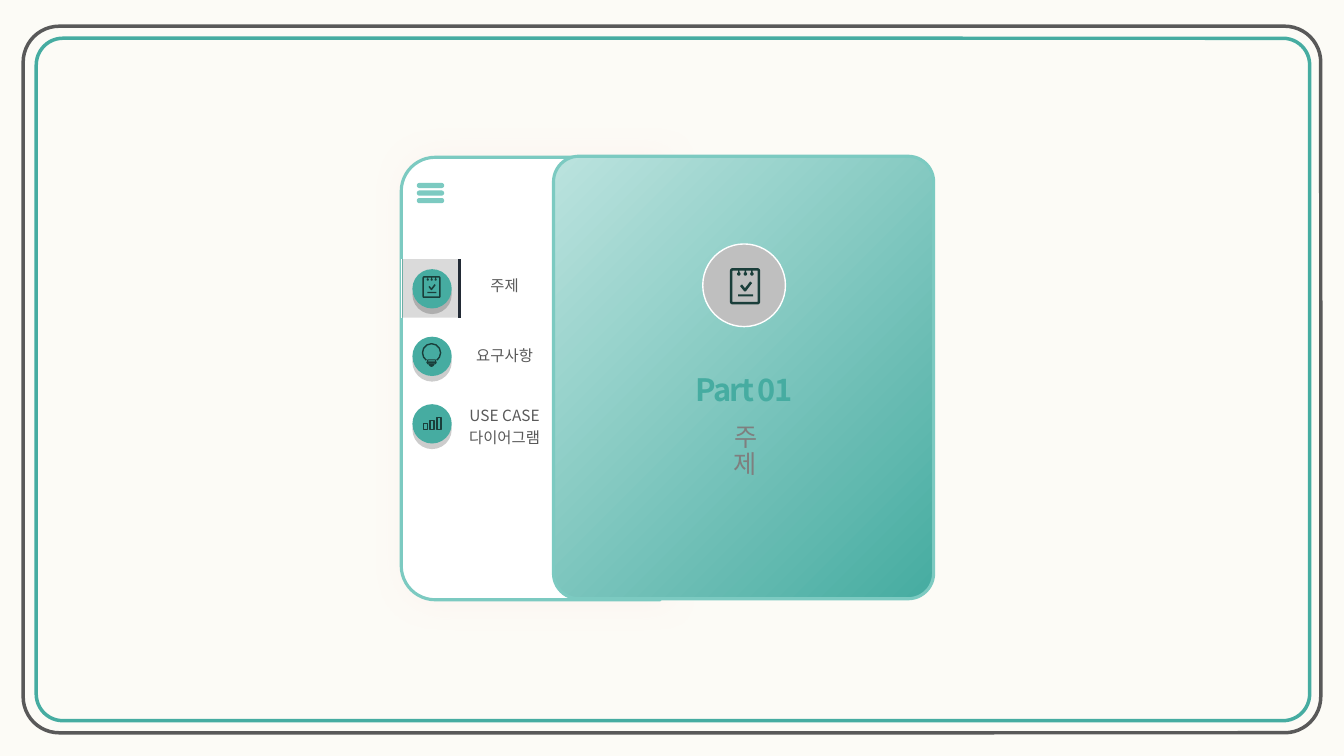
from lxml import etree
from pptx import Presentation
from pptx import util as u
from pptx.dml.color import RGBColor
from pptx.enum import shapes, text
from pptx.oxml import ns

CREAM = RGBColor(0xFC, 0xFB, 0xF6)
WHITE = RGBColor(0xFF, 0xFF, 0xFF)
TEAL = RGBColor(0x46, 0xAC, 0xA1)
SOFT_TEAL = RGBColor(0x7C, 0xCA, 0xC1)
PALE_TEAL = RGBColor(0xBB, 0xE3, 0xDE)
INK = RGBColor(0x1A, 0x3E, 0x3A)
NAVY = RGBColor(0x22, 0x2A, 0x35)
SLATE = RGBColor(0x84, 0x97, 0xB0)
GRAY = RGBColor(0x59, 0x59, 0x59)
MID_GRAY = RGBColor(0x7F, 0x7F, 0x7F)
SILVER = RGBColor(0xBF, 0xBF, 0xBF)
CHARCOAL = RGBColor(0x26, 0x26, 0x26)
PINK = RGBColor(0xFF, 0xCC, 0xCC)
BLACK = RGBColor(0, 0, 0)
FONT = "Noto Sans CJK KR"
PLAIN_TABLE = "{2D5ABB26-0587-4C30-8999-92F81FD0307C}"
KIND = shapes.MSO_SHAPE


def add_child(parent, tag, **attrs):
    """Append a DrawingML element to parent."""
    child = etree.SubElement(parent, ns.qn("a:" + tag))
    for name, value in attrs.items():
        child.set(name, str(value))
    return child


def paint(sp, fill, line, width):
    """Set fill and line, either of which may be None."""
    sp.shadow.inherit = False
    if fill is None:
        sp.fill.background()
    else:
        sp.fill.solid()
        sp.fill.fore_color.rgb = fill
    if line is None:
        sp.line.fill.background()
    else:
        sp.line.color.rgb = line
        sp.line.width = u.Pt(width)


def add_box(slide, kind, x, y, w, h, fill=None, line=None, width=1, adj=()):
    """Add a preset shape measured in inches."""
    sp = slide.shapes.add_shape(kind, *map(u.Inches, (x, y, w, h)))
    for i, value in enumerate(adj):
        sp.adjustments[i] = value
    paint(sp, fill, line, width)
    return sp


def add_shadow(sp, color, alpha, blur, dist, angle):
    """Give a shape an outer shadow; alpha in percent, lengths in points."""
    effects = sp._element.spPr.find(ns.qn("a:effectLst"))
    shadow = add_child(effects, "outerShdw", blurRad=u.Pt(blur), dist=u.Pt(dist),
                       dir=angle * 60000, algn="ctr", rotWithShape=0)
    clr = add_child(shadow, "srgbClr", val=color)
    add_child(clr, "alpha", val=alpha * 1000)


def format_text(p, size, color, bold=False, spacing=None):
    """Centre a paragraph and format its runs."""
    p.alignment = text.PP_ALIGN.CENTER
    for r in p.runs:
        r.font.size, r.font.bold, r.font.name = u.Pt(size), bold, FONT
        r.font.color.rgb = color
        rPr = r._r.get_or_add_rPr()
        add_child(rPr, "ea", typeface=FONT)
        if spacing is not None:
            rPr.set("spc", str(round(spacing * 100)))


def add_plain_table(slide, rows, x, y, w, h):
    """Add a one-column table without style or fill."""
    frame = slide.shapes.add_table(rows, 1, *map(u.Inches, (x, y, w, h)))
    table = frame.table
    table.first_row = table.horz_banding = False
    table._tbl.tblPr.find(ns.qn("a:tableStyleId")).text = PLAIN_TABLE
    for row in table.rows:
        row.height = u.Inches(h / rows)
        row.cells[0].fill.background()
    return table


def draw_notepad(slide, x, y, w):
    """Draw a notepad with three pins, a check mark and a rule."""
    k = w / 0.3
    edge = 0.025 * k

    def part(kind, dx, dy, pw, ph):
        add_box(slide, kind, x + dx * k, y + dy * k, pw * k, ph * k, INK)

    add_box(slide, KIND.ROUNDED_RECTANGLE, x + edge / 2, y + edge / 2,
            w - edge, 1.2 * w - edge, line=INK, width=edge * 72, adj=[0.05])
    for i in range(3):
        dx = 0.07 + i * 0.065
        part(KIND.OVAL, dx, 0.04, 0.035, 0.035)
        part(KIND.ROUNDED_RECTANGLE, dx + 0.01, 0.01, 0.015, 0.05)
    part(KIND.ROUNDED_RECTANGLE, 0.08, 0.26, 0.15, 0.02)
    points = [(u.Inches(x + dx * k), u.Inches(y + dy * k))
              for dx, dy in ((0.11, 0.17), (0.15, 0.22), (0.21, 0.14))]
    pen = slide.shapes.build_freeform(*points[0])
    pen.add_line_segments(points[1:], close=False)
    paint(pen.convert_to_shape(), None, INK, edge * 72)


def draw_bulb(slide, x, y, w):
    """Draw a light bulb whose glass is w wide."""
    add_box(slide, KIND.ARC, x, y, w, w, line=INK, adj=[125 * 0.6, 55 * 0.6])
    mid = x + w / 2
    for width, dy, h in ((0.08, 0.16, 0.04), (0.09, 0.18, 0.01)):
        add_box(slide, KIND.ROUNDED_RECTANGLE, mid - width / 2, y + dy, width, h,
                line=INK, width=0.75)
    add_box(slide, KIND.CHORD, mid - 0.03, y + 0.17, 0.06, 0.06, INK,
            adj=[0, 180 * 0.6])


def draw_bars(slide, x, y, w):
    """Draw three hollow bars of rising height."""
    pitch = w / 3
    for i, h in enumerate((0.06, 0.09, 0.12)):
        add_box(slide, KIND.RECTANGLE, x + i * pitch, y + 0.12 - h, 0.04, h,
                line=INK, width=1)


def draw_frame(slide):
    """Draw the double border around the slide."""
    for x, y, w, h, color, adj in ((0.23, 0.26, 12.87, 7.01, GRAY, 0.051),
                                   (0.36, 0.38, 12.63, 6.77, TEAL, 0.039)):
        add_box(slide, KIND.ROUNDED_RECTANGLE, x, y, w, h, line=color,
                width=2.5, adj=[adj])


def draw_sidebar(slide, x, y, w, h):
    """Draw the white panel, the menu mark, the selected cell and the labels."""
    panel = add_box(slide, KIND.ROUND_2_SAME_RECTANGLE, x + (w - h) / 2,
                    y + (h - w) / 2, h, w, WHITE, SOFT_TEAL, 2.25, [0.131, 0])
    panel.rotation = 270
    add_shadow(panel, PINK, 17, 23, 3, 0)
    for i in range(3):
        add_box(slide, KIND.ROUNDED_RECTANGLE, x + 0.17, y + 0.27 + i * 0.075,
                0.24, 0.02, SLATE, SOFT_TEAL, 2.25, [0.5])

    cell = add_plain_table(slide, 1, x, y + 1.01, 0.58, 0.58).cell(0, 0)
    tcPr = cell._tc.get_or_add_tcPr()
    for i, (side, color, width) in enumerate((("lnL", WHITE, 0.5),
                                              ("lnR", NAVY, 2.25))):
        ln = add_child(tcPr, side, w=u.Pt(width))
        add_child(add_child(ln, "solidFill"), "srgbClr", val=color)
        tcPr.insert(i, ln)
    cell.fill.solid()
    cell.fill.fore_color.rgb = CHARCOAL
    add_child(tcPr.find(ns.qn("a:solidFill"))[0], "alpha", val=17000)

    table = add_plain_table(slide, 4, x + 0.54, y + 0.91, 0.97, 2.8)
    for i, label in enumerate(("주제", "요구사항", "USE CASE\n다이어그램")):
        cell = table.cell(i, 0)
        cell.vertical_anchor = text.MSO_ANCHOR.MIDDLE
        cell.margin_left = cell.margin_right = u.Inches(0.05)
        cell.text_frame.text = label
        for p in cell.text_frame.paragraphs:
            format_text(p, 11, GRAY)


def draw_menu_icons(slide, x, y):
    """Draw the three round menu buttons below one another."""
    icons = ((draw_notepad, 0.1, 0.07, 0.18), (draw_bulb, 0.1, 0.07, 0.18),
             (draw_bars, 0.11, 0.13, 0.2))
    for i, (draw, dx, dy, w) in enumerate(icons):
        top = y + i * 0.67
        disc = add_box(slide, KIND.OVAL, x, top, 0.39, 0.39, TEAL)
        add_shadow(disc, BLACK, 20, 0, 4, 90)
        draw(slide, x + dx, top + dy, w)


def draw_part_card(slide, x, y, w, h):
    """Draw the gradient card with its badge, part number and topic."""
    card = add_box(slide, KIND.ROUNDED_RECTANGLE, x, y, w, h, TEAL, SOFT_TEAL,
                   2.25, [0.067])
    card.fill.gradient()
    card.fill.gradient_angle = 315
    for stop, color, pos in zip(card.fill.gradient_stops, (PALE_TEAL, TEAL), (0, 1)):
        stop.color.rgb, stop.position = color, pos
    add_box(slide, KIND.OVAL, x + 1.48, y + 0.87, 0.82, 0.82, SILVER, WHITE, 1)
    draw_notepad(slide, x + 1.75, y + 1.11, 0.3)
    for words, dx, dy, tw, th, size, color, bold in (
            ("Part 01", 0.42, 2.12, 2.94, 0.4, 22, TEAL, True),
            ("주제", 1.59, 2.61, 0.62, 0.38, 18, MID_GRAY, False)):
        box = slide.shapes.add_textbox(*map(u.Inches, (x + dx, y + dy, tw, th)))
        tf = box.text_frame
        tf.word_wrap = True
        tf.text = words
        p = tf.paragraphs[0]
        p.line_spacing, p.space_before = 0.9, u.Pt(10)
        format_text(p, size, color, bold, -1.2)


def main():
    """Build and save the slide."""
    prs = Presentation()
    prs.slide_width, prs.slide_height = u.Inches(13.33), u.Inches(7.5)
    slide = prs.slides.add_slide(prs.slide_layouts[6])
    slide.background.fill.solid()
    slide.background.fill.fore_color.rgb = CREAM
    draw_frame(slide)
    draw_sidebar(slide, 3.98, 1.56, 2.57, 4.39)
    draw_part_card(slide, 5.49, 1.55, 3.77, 4.39)
    draw_menu_icons(slide, 4.09, 2.67)
    prs.save("out.pptx")


if __name__ == "__main__":
    main()
